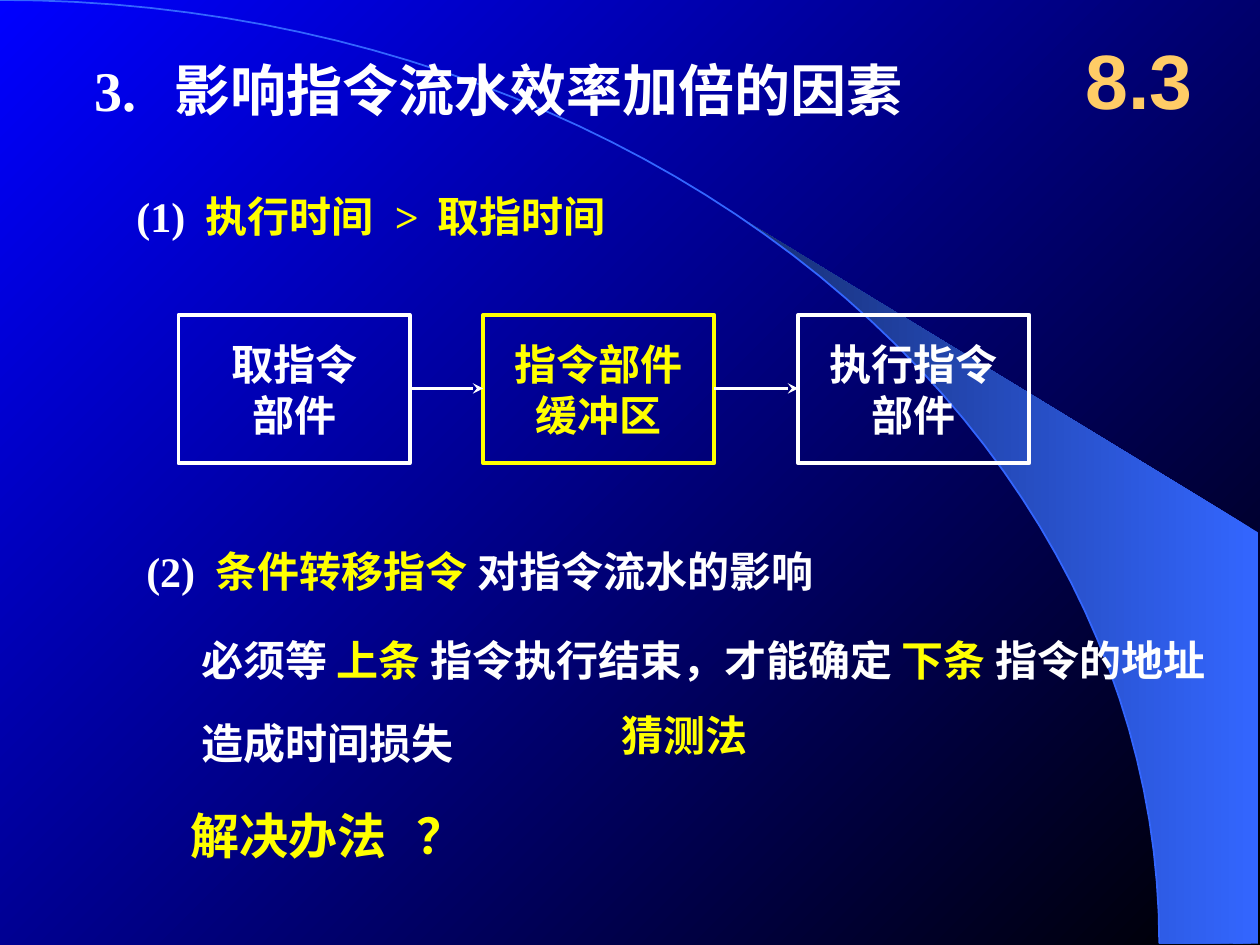
from math import cos, radians, sin

from lxml.etree import SubElement
from pptx import Presentation
from pptx.dml.color import RGBColor
from pptx.enum.shapes import MSO_CONNECTOR, MSO_SHAPE
from pptx.enum.text import MSO_ANCHOR, PP_ALIGN
from pptx.oxml.ns import qn
from pptx.util import Cm, Pt

WHITE = RGBColor(0xFF, 0xFF, 0xFF)
YELLOW = RGBColor(0xFF, 0xFF, 0x00)
ORANGE = RGBColor(0xFF, 0xCC, 0x66)
BLACK = RGBColor(0x00, 0x00, 0x00)
BLUE = RGBColor(0x00, 0x00, 0xFF)
ARC_BLUE = RGBColor(0x33, 0x66, 0xFF)
WEDGE_DARK = RGBColor(0x17, 0x2F, 0x75)

ARC_WIDTH, ARC_HEIGHT = 23.37, 19.02
WEDGE_START = 39.8
WEDGE_RIGHT, WEDGE_TOP = 25.37, 10.74

UNIT_TOP, UNIT_WIDTH, UNIT_HEIGHT = 6.35, 4.66, 2.99
ARROW_Y = 7.83
UNITS = [
    (3.6, WHITE, ["取指令", "部件"]),
    (9.74, YELLOW, ["指令部件", "缓冲区"]),
    (16.09, WHITE, ["执行指令", "部件"]),
]


def set_gradient(fill, start, end, angle):
    """Fill from start to end; the angle runs counter-clockwise."""
    fill.gradient()
    fill.gradient_angle = angle
    for stop, color, position in zip(fill.gradient_stops, (start, end), (0, 1)):
        stop.color.rgb = color
        stop.position = position


def arc_points(first_degree, steps=48):
    """Points on the quarter ellipse, from first_degree to 90 degrees."""
    angles = [radians(first_degree + (90 - first_degree) * step / steps)
              for step in range(steps + 1)]
    return [(ARC_WIDTH * sin(angle), ARC_HEIGHT * (1 - cos(angle)))
            for angle in angles]


def add_outline(slide, points, close):
    corners = [(Cm(x), Cm(y)) for x, y in points]
    builder = slide.shapes.build_freeform(*corners[0])
    builder.add_line_segments(corners[1:], close=close)
    shape = builder.convert_to_shape()
    shape.shadow.inherit = False
    return shape


def add_backdrop(slide):
    set_gradient(slide.background.fill, BLACK, BLUE, 135)
    corners = [(WEDGE_RIGHT, ARC_HEIGHT), (WEDGE_RIGHT, WEDGE_TOP)]
    wedge = add_outline(slide, arc_points(WEDGE_START) + corners, True)
    set_gradient(wedge.fill, ARC_BLUE, WEDGE_DARK, 180)
    wedge.line.fill.background()
    arc = add_outline(slide, arc_points(0), False)
    arc.fill.background()
    arc.line.color.rgb = ARC_BLUE
    arc.line.width = Pt(1)


def set_tabs(para, stops):
    tab_list = SubElement(para._p.get_or_add_pPr(), qn("a:tabLst"))
    for stop in stops:
        SubElement(tab_list, qn("a:tab"), pos=str(Cm(stop)), algn="l")


def format_span(span, color, size, font="Times New Roman"):
    span.font.name = font
    span.font.size = Pt(size)
    span.font.bold = True
    span.font.color.rgb = color


def add_text(slide, left, top, width, height, lines, size=24, inset=0,
             tabs=(), spacing=None, anchor=MSO_ANCHOR.MIDDLE):
    """Add a text box; each line is a list of (text, color) spans."""
    box = slide.shapes.add_textbox(Cm(left), Cm(top), Cm(width), Cm(height))
    frame = box.text_frame
    frame.word_wrap = True
    frame.vertical_anchor = anchor
    frame.margin_left, frame.margin_right = Cm(inset), 0
    for index, spans in enumerate(lines):
        para = frame.add_paragraph() if index else frame.paragraphs[0]
        if tabs:
            set_tabs(para, tabs)
        if spacing:
            para.line_spacing = spacing
        for text, color in spans:
            span = para.add_run()
            span.text = text
            format_span(span, color, size)
    return box


def add_section_number(slide):
    box = add_text(slide, 21.38, 0.42, 3.17, 2.33, [[("8.3", ORANGE)]])
    para = box.text_frame.paragraphs[0]
    para.alignment = PP_ALIGN.CENTER
    format_span(para.runs[0], ORANGE, 44, "Arial")


def add_unit(slide, left, color, lines):
    unit = slide.shapes.add_shape(MSO_SHAPE.RECTANGLE, Cm(left), Cm(UNIT_TOP),
                                  Cm(UNIT_WIDTH), Cm(UNIT_HEIGHT))
    unit.shadow.inherit = False
    unit.fill.background()
    unit.line.color.rgb = color
    unit.line.width = Pt(2.25)
    frame = unit.text_frame
    frame.margin_left = frame.margin_right = 0
    frame.vertical_anchor = MSO_ANCHOR.MIDDLE
    frame.text = "\n".join(lines)
    for para in frame.paragraphs:
        para.alignment = PP_ALIGN.CENTER
        format_span(para.runs[0], color, 24)


def add_arrow(slide, start, end):
    arrow = slide.shapes.add_connector(MSO_CONNECTOR.STRAIGHT, Cm(start),
                                       Cm(ARROW_Y), Cm(end), Cm(ARROW_Y))
    arrow.line.color.rgb = WHITE
    arrow.line.width = Pt(1.5)
    SubElement(arrow.line._get_or_add_ln(), qn("a:tailEnd"), type="stealth")
    SubElement(arrow._element.spPr, qn("a:effectLst"))


def add_pipeline(slide):
    for left, color, lines in UNITS:
        add_unit(slide, left, color, lines)
    for (left, *_), (next_left, *_) in zip(UNITS, UNITS[1:]):
        add_arrow(slide, left + UNIT_WIDTH, next_left)


def main():
    deck = Presentation()
    deck.slide_width, deck.slide_height = Cm(25.4), Cm(19.05)
    slide = deck.slides.add_slide(deck.slide_layouts[6])
    add_backdrop(slide)
    add_text(slide, 1.9, 1.06, 17.59, 1.48,
             [[("3.\t影响指令流水效率加倍的因素", WHITE)]], size=32, tabs=[1.62])
    add_section_number(slide)
    add_text(slide, 2.75, 3.6, 13, 1.48,
             [[("(1)\t", WHITE), ("执行时间\t>\t取指时间", YELLOW)]],
             tabs=[1.4, 5.21, 6.08])
    add_pipeline(slide)
    condition = add_text(
        slide, 2.75, 11, 17.78, 1.9,
        [[("(2)\t", WHITE), ("条件转移指令 ", YELLOW), ("对指令流水的影响", WHITE)]],
        inset=0.2, tabs=[1.4], anchor=MSO_ANCHOR.TOP)
    condition.text_frame.margin_top = 0
    add_text(slide, 3.6, 12.01, 21.16, 3.61,
             [[("必须等 ", WHITE), ("上条 ", YELLOW),
               ("指令执行结束，才能确定 ", WHITE), ("下条 ", YELLOW),
               ("指令的地址", WHITE)],
              [("造成时间损失", WHITE)]],
             inset=0.46, spacing=1.65, anchor=MSO_ANCHOR.TOP)
    add_text(slide, 2.75, 16.09, 17.98, 1.48, [[("解决办法\t？", YELLOW)]],
             size=28, inset=1.1, tabs=[4.54])
    add_text(slide, 12.28, 14.18, 11, 1.27, [[("猜测法", YELLOW)]],
             inset=0.25, anchor=MSO_ANCHOR.TOP)
    deck.save("out.pptx")


if __name__ == "__main__":
    main()
